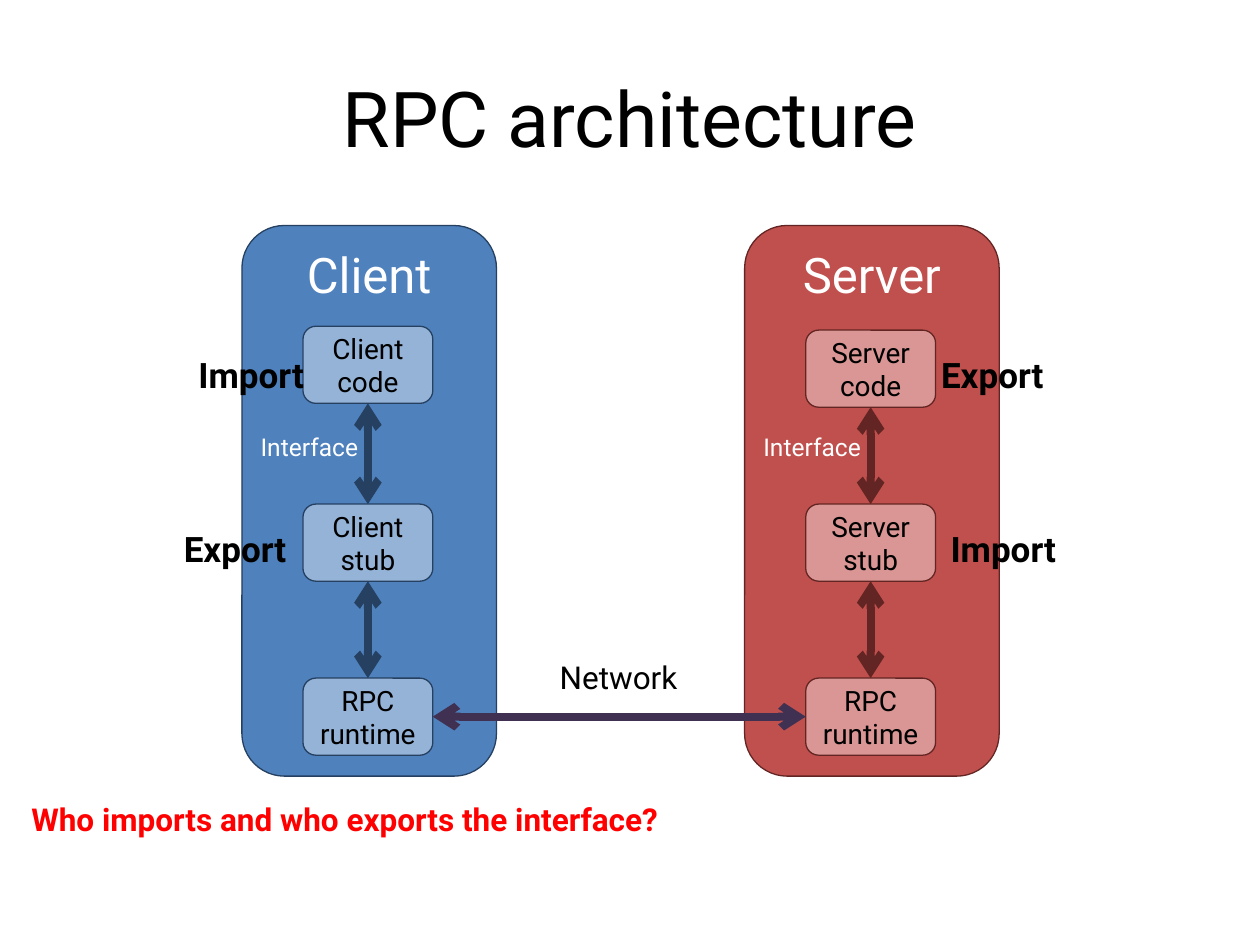
from collections import namedtuple

from lxml import etree
from pptx import Presentation
from pptx.dml.color import RGBColor
from pptx.enum.shapes import MSO_CONNECTOR as CONN, MSO_SHAPE as SHAPE
from pptx.enum.text import MSO_ANCHOR as ANCHOR, PP_ALIGN as ALIGN
from pptx.oxml.ns import qn
from pptx.util import Inches, Pt

FONT = "Roboto"
BLACK, WHITE, RED, PURPLE = "000000", "FFFFFF", "FF0000", "403152"
TOP, LEFT, BOTTOM, RIGHT = range(4)
ROW_STEP = 0.316  # distance between layers, as a share of the panel height

Box = namedtuple("Box", "x y w h")
Theme = namedtuple("Theme", "panel layer line")
Label = namedtuple("Label", "text x w align")


def rgb(color):
    return RGBColor.from_string(color)


def share(box, x, y, w, h):
    """Return the part of box that starts at shares x, y and spans w, h."""
    return Box(box.x + x * box.w, box.y + y * box.h, w * box.w, h * box.h)


def emu(box):
    return [Inches(v) for v in box]


def write(tf, text, size, color, align=ALIGN.CENTER, bold=False):
    for i, line in enumerate(text.split("\n")):
        p = tf.add_paragraph() if i else tf.paragraphs[0]
        p.alignment = align
        r = p.add_run()
        r.text = line
        r.font.name, r.font.size, r.font.bold = FONT, Pt(size), bold
        r.font.color.rgb = rgb(color)


def add_label(slide, box, text, size, color, align=ALIGN.CENTER, bold=False,
              anchor=ANCHOR.TOP):
    tf = slide.shapes.add_textbox(*emu(box)).text_frame
    tf.word_wrap = False
    tf.vertical_anchor = anchor
    write(tf, text, size, color, align, bold)


def add_rounded(slide, box, text, size, color, fill, line, anchor):
    s = slide.shapes.add_shape(SHAPE.ROUNDED_RECTANGLE, *emu(box))
    s.shadow.inherit = False
    s.adjustments[0] = 0.167
    s.fill.solid()
    s.fill.fore_color.rgb = rgb(fill)
    s.line.color.rgb = rgb(line)
    s.line.width = Pt(0.75)
    s.text_frame.word_wrap = True
    s.text_frame.vertical_anchor = anchor
    write(s.text_frame, text, size, color)
    return s


def add_double_arrow(slide, start, start_side, end, end_side, color):
    c = slide.shapes.add_connector(CONN.STRAIGHT, 0, 0, 0, 0)
    c.begin_connect(start, start_side)
    c.end_connect(end, end_side)
    c.line.color.rgb = rgb(color)
    c.line.width = Pt(4.5)
    ln = c.line._get_or_add_ln()
    for end_tag in ("a:headEnd", "a:tailEnd"):
        etree.SubElement(ln, qn(end_tag), type="arrow")
    etree.SubElement(c._element.spPr, qn("a:effectLst"))


def add_host(slide, box, name, layers, first_row, theme, roles):
    """Draw one machine with its stacked layers and return the lowest one."""
    add_rounded(slide, box, name, 28, WHITE, theme.panel, theme.line, ANCHOR.TOP)
    rows = [first_row, 0.506, 0.506 + ROW_STEP]
    stack = [add_rounded(slide, share(box, 0.24, row, 0.51, 0.14), text, 16,
                         BLACK, theme.layer, theme.line, ANCHOR.MIDDLE)
             for text, row in zip(layers, rows)]
    for upper, lower in zip(stack, stack[1:]):
        add_double_arrow(slide, upper, BOTTOM, lower, TOP, theme.line)
    add_label(slide, share(box, 0.01, 0.364, 0.51, 0.08), "Interface", 14, WHITE)
    for i, role in enumerate(roles):
        role_box = share(box, role.x, 0.222 + i * ROW_STEP, role.w, 0.1)
        add_label(slide, role_box, role.text, 20, BLACK, role.align, True)
    return stack[-1]


def add_network(slide, box, client, server):
    add_double_arrow(slide, server, LEFT, client, RIGHT, PURPLE)
    add_label(slide, box, "Network", 18, BLACK)


def main():
    prs = Presentation()
    prs.slide_width, prs.slide_height = Inches(10), Inches(7.5)
    slide = prs.slides.add_slide(prs.slide_layouts[6])
    page = Box(0, 0, 10, 7.5)

    add_label(slide, share(page, 0.05, 0.04, 0.9, 0.167), "RPC architecture",
              44, BLACK, anchor=ANCHOR.MIDDLE)

    client = add_host(
        slide, Box(1.92, 1.79, 2.02, 4.37), "Client",
        ["Client code", "Client\nstub", "RPC\nruntime"], 0.183,
        Theme("4F81BD", "95B3D7", "254061"),
        [Label("Import", -0.287, 0.58, ALIGN.RIGHT),
         Label("Export", -0.277, 0.55, ALIGN.LEFT)])
    server = add_host(
        slide, Box(5.91, 1.79, 2.02, 4.37), "Server",
        ["Server\ncode", "Server\nstub", "RPC\nruntime"], 0.19,
        Theme("C0504D", "D99694", "632523"),
        [Label("Export", 0.723, 0.55, ALIGN.LEFT),
         Label("Import", 0.693, 0.58, ALIGN.RIGHT)])

    add_network(slide, share(page, 0.431, 0.69, 0.12, 0.053), client, server)
    add_label(slide, share(page, 0.015, 0.84, 0.576, 0.053),
              "Who imports and who exports the interface?", 18, RED,
              ALIGN.LEFT, True)
    prs.save("out.pptx")


if __name__ == "__main__":
    main()
